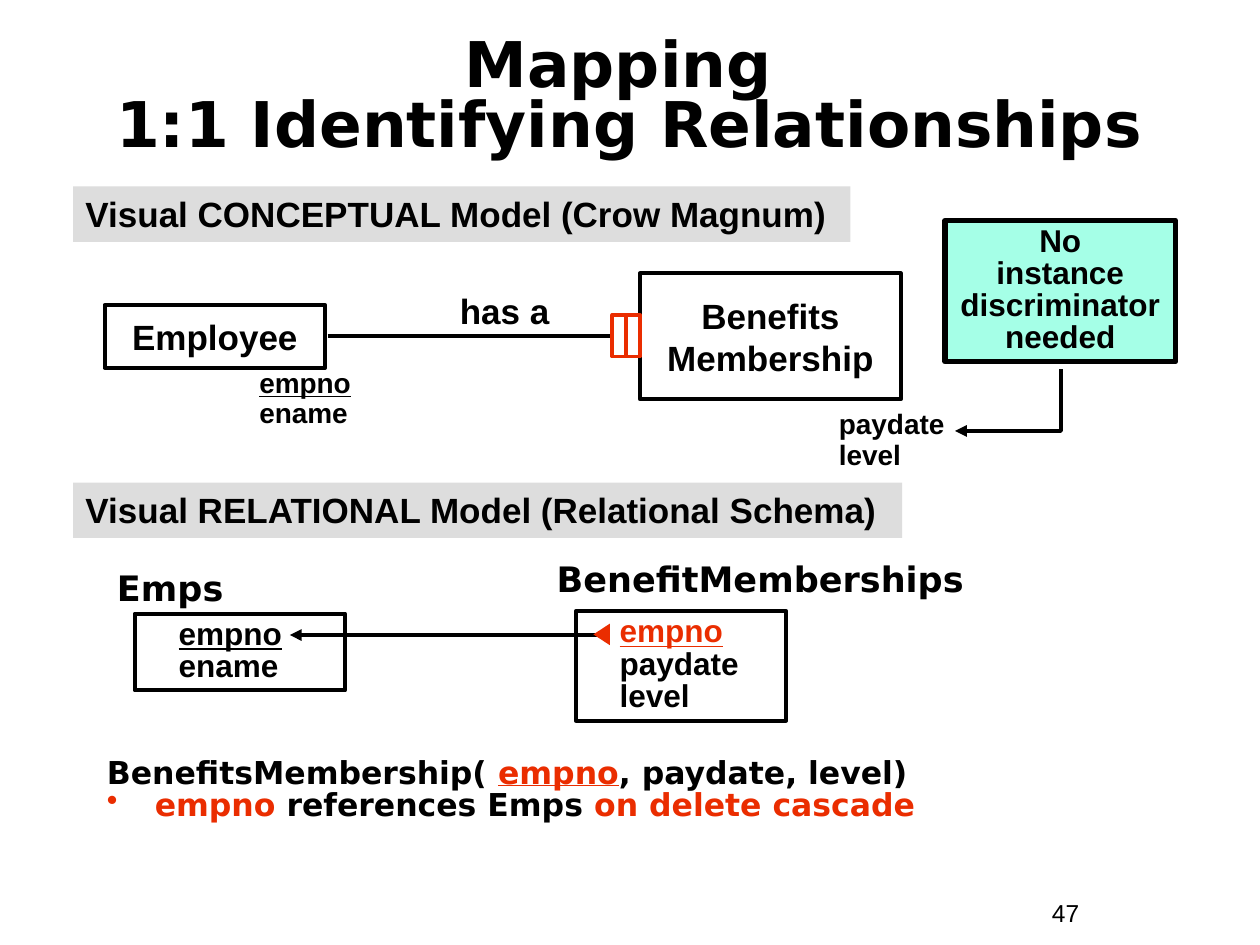
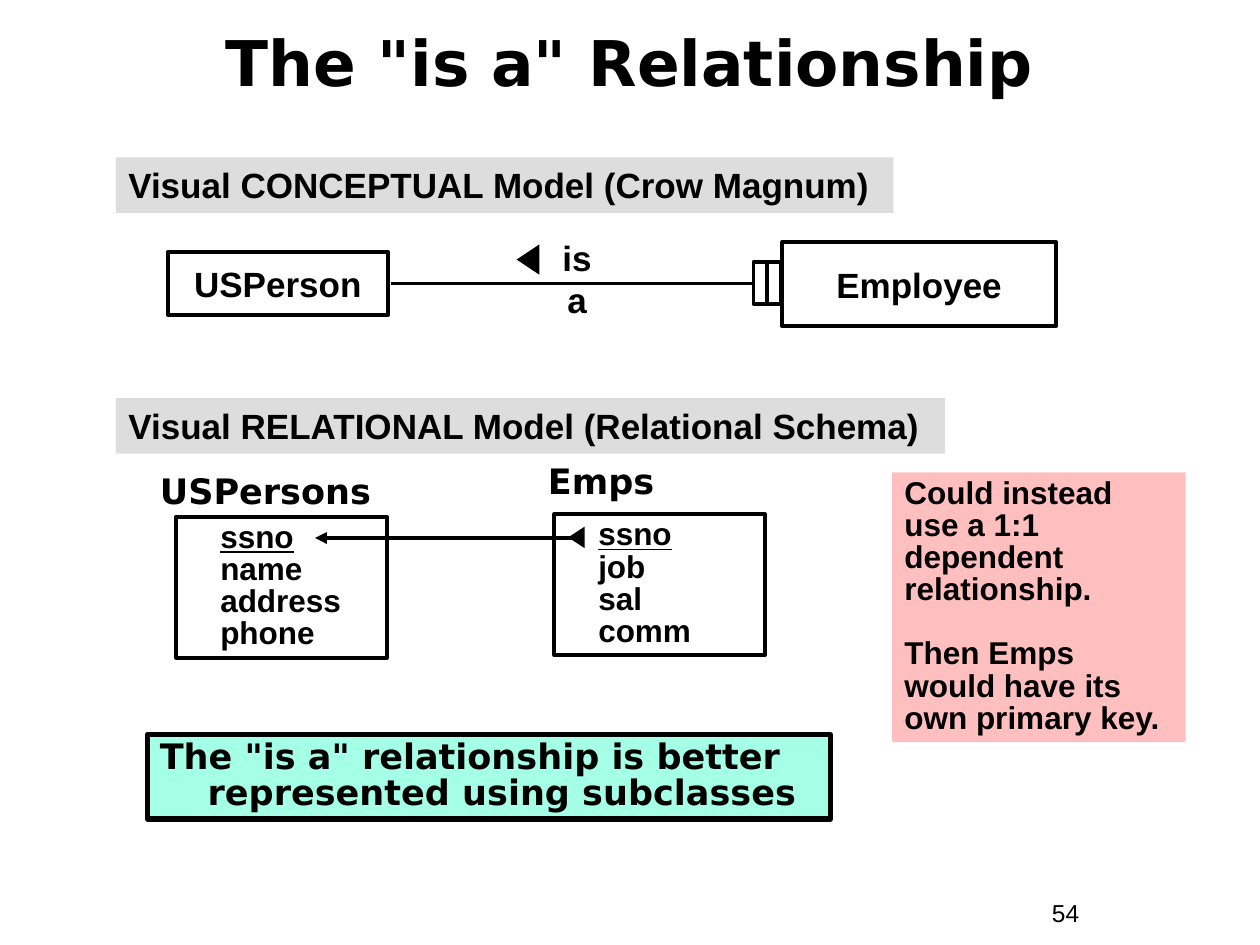
from lxml import etree
from pptx import Presentation
from pptx.dml.color import RGBColor
from pptx.enum.shapes import MSO_CONNECTOR, MSO_SHAPE
from pptx.enum.text import MSO_ANCHOR, PP_ALIGN
from pptx.oxml.ns import qn
from pptx.util import Inches, Pt

BLACK = RGBColor(0x00, 0x00, 0x00)
RED = RGBColor(0xEA, 0x2D, 0x00)
GRAY = RGBColor(0xDD, 0xDD, 0xDD)
MINT = RGBColor(0xA5, 0xFF, 0xE7)
PINK = RGBColor(0xFF, 0xBF, 0xBF)
SANS, HEAD = "Arial", "DejaVu Sans"
LEFT, CENTER = PP_ALIGN.LEFT, PP_ALIGN.CENTER
TOP, MIDDLE = MSO_ANCHOR.TOP, MSO_ANCHOR.MIDDLE
RECT, TRIANGLE = MSO_SHAPE.RECTANGLE, MSO_SHAPE.ISOSCELES_TRIANGLE
STRAIGHT, ELBOW = MSO_CONNECTOR.STRAIGHT, MSO_CONNECTOR.ELBOW
STROKE = 2.25


class Deck:
    def __init__(self):
        self.file = Presentation()
        self.file.slide_width, self.file.slide_height = Inches(10), Inches(7.5)
        self.slide = None

    def start(self, title, top, page):
        self.slide = self.file.slides.add_slide(self.file.slide_layouts[6])
        self.text((8.25, 7.08, 0.92, 0.34), [page], 14, bold=False)
        self.text((0.33, top, 9.33, 0.92), [title], 36, HEAD, align=CENTER,
                  anchor=MIDDLE, space=0.8)

    def label(self, shape, lines, size, font=SANS, bold=True, align=LEFT,
              anchor=TOP, space=1, indent=0, hang=0, gap=0, wrap=True):
        """Fill a shape; a line is a string or a list of (text, colour, underline)."""
        frame = shape.text_frame
        frame.word_wrap, frame.vertical_anchor = wrap, anchor
        for i, line in enumerate(lines):
            para = frame.paragraphs[0] if i == 0 else frame.add_paragraph()
            if isinstance(line, str):
                para.text = line
            else:
                for words, color, under in line:
                    run = para.add_run()
                    run.text = words
                    run.font.color.rgb = color
                    run.font.underline = under
            para.alignment, para.line_spacing = align, space
            if i and gap:
                para.space_before = Pt(gap)
            if indent:
                props = para._p.get_or_add_pPr()
                props.set("marL", str(Inches(indent)))
                props.set("indent", str(-Inches(hang)))
            para.font.name, para.font.size = font, Pt(size)
            para.font.bold, para.font.color.rgb = bold, BLACK
        return frame

    def text(self, spot, lines, size, font=SANS, **style):
        box = self.slide.shapes.add_textbox(*map(Inches, spot))
        return self.label(box, lines, size, font, **style)

    def shape(self, spot, fill=None, edge=None, width=STROKE, kind=RECT):
        shape = self.slide.shapes.add_shape(kind, *map(Inches, spot))
        shape.shadow.inherit = False
        if fill is None:
            shape.fill.background()
        else:
            shape.fill.solid()
            shape.fill.fore_color.rgb = fill
        if edge is None:
            shape.line.fill.background()
        else:
            shape.line.color.rgb, shape.line.width = edge, Pt(width)
        return shape

    def entity(self, spot, name):
        self.label(self.shape(spot, edge=BLACK), [name], 20,
                   align=CENTER, anchor=MIDDLE)

    def table(self, x, y, high, fields):
        """Draw a relation as a frame around its field names."""
        self.label(self.shape((x, y, 1.67, high), edge=BLACK), fields, 18,
                   space=0.85, indent=0.25)

    def name(self, x, y, words, space=1):
        self.text((x, y, 4.85, 0.44), [words], 20, HEAD, space=space)

    def verb(self, x, y, width, words):
        self.text((x, y, width, 0.44), [words], 20, align=CENTER, wrap=False)

    def bands(self, x, first, second):
        for y, width, words in (
                (first, 6.17, "Visual CONCEPTUAL Model (Crow Magnum)"),
                (second, 6.58, "Visual RELATIONAL Model (Relational Schema)")):
            self.label(self.shape((x, y, width, 0.44), GRAY), [words], 20)

    def crow(self, x, y, color):
        """Draw the pair of small boxes that ends a line at x."""
        for step in (1, 2):
            self.shape((x - 0.11 * step, y, 0.11, 0.33), edge=color)

    def point(self, spot, color):
        """Draw a solid triangle that points left."""
        self.shape(spot, color, kind=TRIANGLE).rotation = 270

    def line(self, x1, y1, x2, y2, arrow=False, kind=STRAIGHT):
        link = self.slide.shapes.add_connector(
            kind, *map(Inches, (x1, y1, x2, y2)))
        link.line.color.rgb, link.line.width = BLACK, Pt(STROKE)
        props = link._element.spPr
        if arrow:
            tail = etree.SubElement(props.find(qn("a:ln")), qn("a:tailEnd"))
            tail.set("type", "triangle")
        etree.SubElement(props, qn("a:effectLst"))
        return props

    def bend(self, x1, y1, x2, y2):
        """Draw an arrow that runs down from the start, then left to the end."""
        midx, midy = (x1 + x2) / 2, (y1 + y2) / 2
        halfw, halfh = (y2 - y1) / 2, (x1 - x2) / 2
        props = self.line(midx - halfw, midy - halfh, midx + halfw,
                          midy + halfh, True, ELBOW)
        props.find(qn("a:xfrm")).set("rot", "5400000")
        props.find(qn("a:prstGeom")).set("prst", "bentConnector2")


def bullet(para, color):
    props = para._p.get_or_add_pPr()
    tint = etree.Element(qn("a:buClr"))
    etree.SubElement(tint, qn("a:srgbClr")).set("val", str(color))
    mark = etree.Element(qn("a:buChar"))
    mark.set("char", "•")
    font = props.find(qn("a:defRPr"))
    font.addprevious(tint)
    font.addprevious(mark)


def key(words, color=BLACK):
    return [(words, color, True)]


def mapping(deck):
    deck.start("Mapping \n1:1 Identifying Relationships", 0.33, "47")
    deck.bands(0.58, 1.48, 3.83)

    deck.entity((0.83, 2.42, 1.75, 0.5), "Employee")
    deck.entity((5.08, 2.17, 2.07, 1), "Benefits\nMembership")
    deck.line(2.6, 2.67, 4.84, 2.67)
    deck.verb(3.55, 2.25, 0.91, "has a")
    deck.crow(5.08, 2.5, RED)
    for x, y, fields in ((1.96, 2.88, [key("empno"), "ename"]),
                         (6.56, 3.21, ["paydate", "level"])):
        deck.text((x, y, 1.04, 0.58), fields, 16, space=0.9)

    note = deck.shape((7.5, 1.75, 1.83, 1.12), MINT, BLACK, 3)
    deck.label(note, ["No\ninstance\ndiscriminator\nneeded"], 18,
               align=CENTER, space=0.85)
    deck.bend(8.42, 2.93, 7.58, 3.42)

    deck.name(0.83, 4.45, "Emps")
    deck.table(1.07, 4.87, 0.61, [key("empno"), "ename"])
    deck.name(4.32, 4.43, "BenefitMemberships", 0.85)
    deck.table(4.57, 4.85, 0.87, [key("empno", RED), "paydate", "level"])
    deck.line(4.84, 5.04, 2.3, 5.04, True)
    deck.point((4.69, 4.97, 0.17, 0.13), RED)

    schema = deck.text((0.75, 5.97, 8.42, 0.61), [
        [("BenefitsMembership( ", BLACK, False), ("empno", RED, True),
         (", paydate, level)", BLACK, False)],
        [("empno", RED, False), (" references Emps ", BLACK, False),
         ("on delete cascade", RED, False)],
    ], 18, HEAD, space=0.85, indent=0.38, hang=0.38)
    bullet(schema.paragraphs[1], RED)


def subclass(deck):
    deck.start('The "is a" Relationship', 0.08, "54")
    deck.bands(0.92, 1.25, 3.16)

    deck.entity((1.33, 2, 1.75, 0.5), "USPerson")
    deck.entity((6.21, 1.92, 2.17, 0.67), "Employee")
    deck.line(3.1, 2.25, 5.97, 2.25)
    deck.verb(4.25, 1.83, 0.66, "is a")
    deck.point((4.07, 1.97, 0.24, 0.18), BLACK)
    deck.crow(6.2, 2.08, BLACK)

    deck.name(1.17, 3.68, "USPersons")
    deck.table(1.4, 4.1, 1.12, [key("ssno"), "name", "address", "phone"])
    deck.name(4.25, 3.6, "Emps")
    deck.table(4.4, 4.08, 1.12, [key("ssno"), "job", "sal", "comm"])
    deck.line(4.63, 4.27, 2.5, 4.27, True)
    deck.point((4.49, 4.2, 0.17, 0.13), BLACK)

    advice = deck.shape((1.17, 5.83, 5.42, 0.67), MINT, BLACK, 3)
    deck.label(advice, ['The "is a" relationship is better represented '
                        'using subclasses'],
               20, HEAD, space=0.85, indent=0.38, hang=0.38)
    option = deck.shape((7.08, 3.75, 2.33, 2.14), PINK)
    deck.label(option, ["Could instead use a 1:1 dependent relationship.",
                        "Then Emps would have its own primary key."],
               18, space=0.85, gap=18.3)


def main():
    deck = Deck()
    mapping(deck)
    subclass(deck)
    deck.file.save("out.pptx")


if __name__ == "__main__":
    main()
